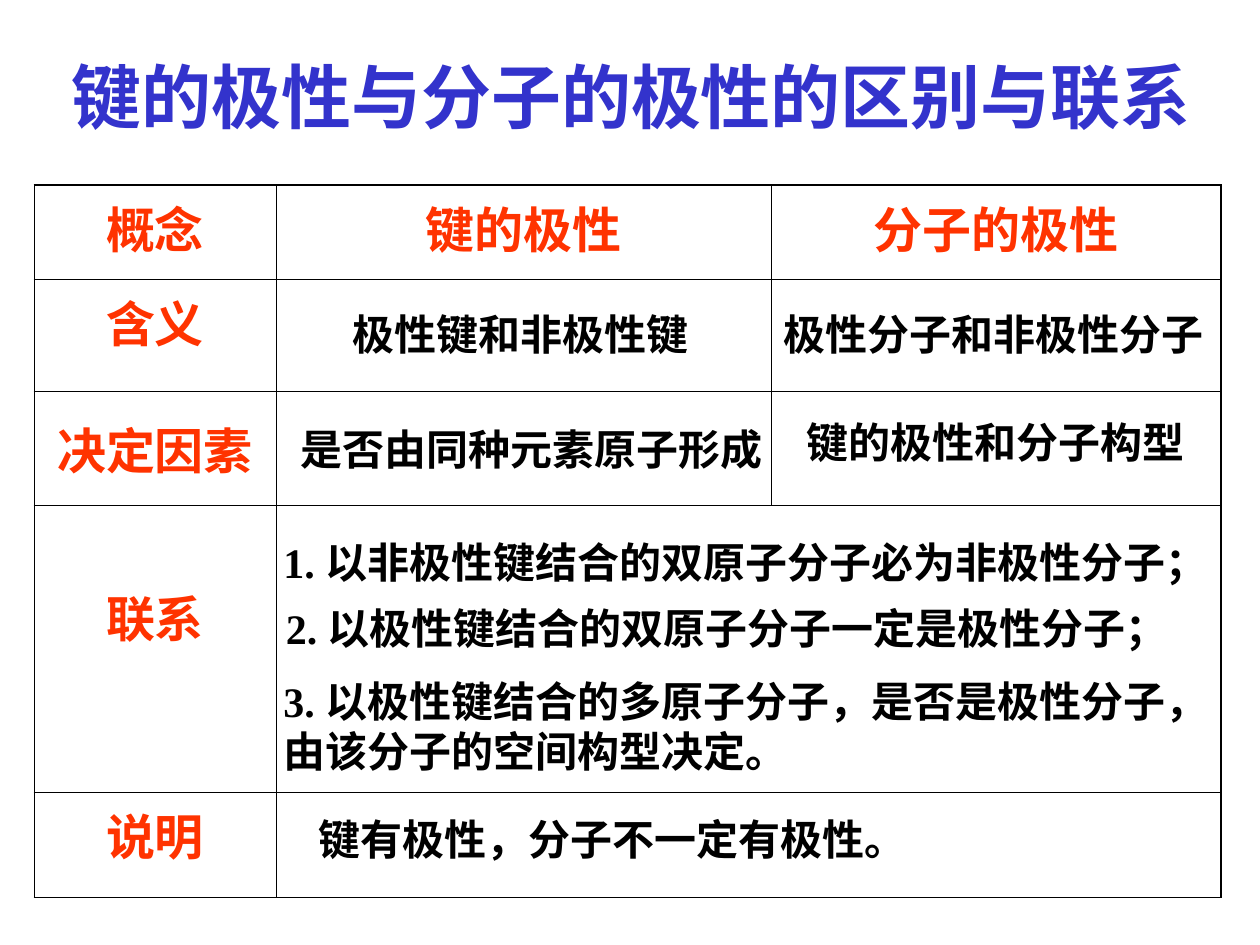
from lxml import etree
from pptx import Presentation
from pptx import util as u
from pptx.dml.color import RGBColor
from pptx.enum import text
from pptx.oxml.ns import qn

COLORS = {"title": "3333CC", "label": "FF3300", "body": "000000", "border": "000000"}
HEADING_FONT, BODY_FONT = "Karla", "Times New Roman"
TITLE = "键的极性与分子的极性的区别与联系"
HEADERS = ["概念", "键的极性", "分子的极性"]
ROW_LABELS = ["含义", "决定因素", "联系", "说明"]
COLUMN_WIDTHS = [1.92, 3.93, 3.57]
ROW_HEIGHTS = [0.75, 0.89, 0.9, 2.28, 0.83]
MERGED_ROWS = [3, 4]
TOP_MARGINS = {"联系": 0.6}
THIN, THICK = 0.45, 1.08
ENTRIES = [
    (2.7, 2.4, 2.95, 0.5, ["极性键和非极性键"]),
    (2.29, 3.31, 3.95, 0.5, ["是否由同种元素原子形成"]),
    (6.12, 2.4, 3.6, 0.5, ["极性分子和非极性分子"]),
    (6.3, 3.26, 3.3, 0.5, ["键的极性和分子构型"]),
    (2.15, 4.21, 7.7, 0.5, ["1. 以非极性键结合的双原子分子必为非极性分子；"]),
    (2.17, 4.73, 7.4, 0.5, ["2. 以极性键结合的双原子分子一定是极性分子；"]),
    (2.15, 5.31, 7.7, 0.9, ["3. 以极性键结合的多原子分子，是否是极性分子，",
                            "由该分子的空间构型决定。"]),
    (2.43, 6.41, 4.95, 0.5, ["键有极性，分子不一定有极性。"]),
]


def style(para, font, size, color):
    para.font.name = font
    para.font.size = u.Pt(size)
    para.font.bold = True
    para.font.color.rgb = RGBColor.from_string(COLORS[color])


def add_text(page, left, top, width, height, lines, font, size, color):
    box = page.shapes.add_textbox(*map(u.Inches, (left, top, width, height)))
    frame = box.text_frame
    frame.word_wrap = True
    frame.text = "\n".join(lines)
    for para in frame.paragraphs:
        style(para, font, size, color)
    return frame


def set_borders(cell, widths):
    properties = cell._tc.get_or_add_tcPr()
    for position, (side, width) in enumerate(widths.items()):
        line = etree.Element(qn(f"a:ln{side}"), w=str(u.Pt(width)))
        fill = etree.SubElement(line, qn("a:solidFill"))
        etree.SubElement(fill, qn("a:srgbClr"), val=COLORS["border"])
        properties.insert(position, line)


def add_label(cell, label):
    cell.text = label
    cell.margin_top = u.Inches(TOP_MARGINS.get(label, 0.05))
    if label == "决定因素":
        cell.vertical_anchor = text.MSO_ANCHOR.MIDDLE
    para = cell.text_frame.paragraphs[0]
    para.alignment = text.PP_ALIGN.CENTER
    style(para, HEADING_FONT, 28, "label")


def add_grid(page):
    row_count, column_count = len(ROW_HEIGHTS), len(COLUMN_WIDTHS)
    table = page.shapes.add_table(
        row_count, column_count, u.Inches(0.27), u.Inches(1.47),
        u.Inches(sum(COLUMN_WIDTHS)), u.Inches(sum(ROW_HEIGHTS))).table
    table.first_row = table.horz_banding = False
    for column, width in zip(table.columns, COLUMN_WIDTHS):
        column.width = u.Inches(width)
    for row, height in zip(table.rows, ROW_HEIGHTS):
        row.height = u.Inches(height)
    for r in range(row_count):
        for c in range(column_count):
            cell = table.cell(r, c)
            cell.fill.background()
            at_right = c == column_count - 1 or (r in MERGED_ROWS and c == 1)
            set_borders(cell, {
                "L": THIN,
                "R": THICK if at_right else THIN,
                "T": THICK if r == 0 else THIN,
                "B": THIN,
            })
    for r in MERGED_ROWS:
        table.cell(r, 1).merge(table.cell(r, 2))
    for c, label in enumerate(HEADERS):
        add_label(table.cell(0, c), label)
    for r, label in enumerate(ROW_LABELS, 1):
        add_label(table.cell(r, 0), label)


def main():
    deck = Presentation()
    deck.slide_width, deck.slide_height = u.Inches(10), u.Inches(7.5)
    page = deck.slides.add_slide(deck.slide_layouts[6])
    title = add_text(page, 0.47, 0.25, 9.41, 0.89, [TITLE], HEADING_FONT, 40, "title")
    title.vertical_anchor = text.MSO_ANCHOR.BOTTOM
    add_grid(page)
    for *place, lines in ENTRIES:
        add_text(page, *place, lines, BODY_FONT, 24, "body")
    deck.save("out.pptx")


if __name__ == "__main__":
    main()
